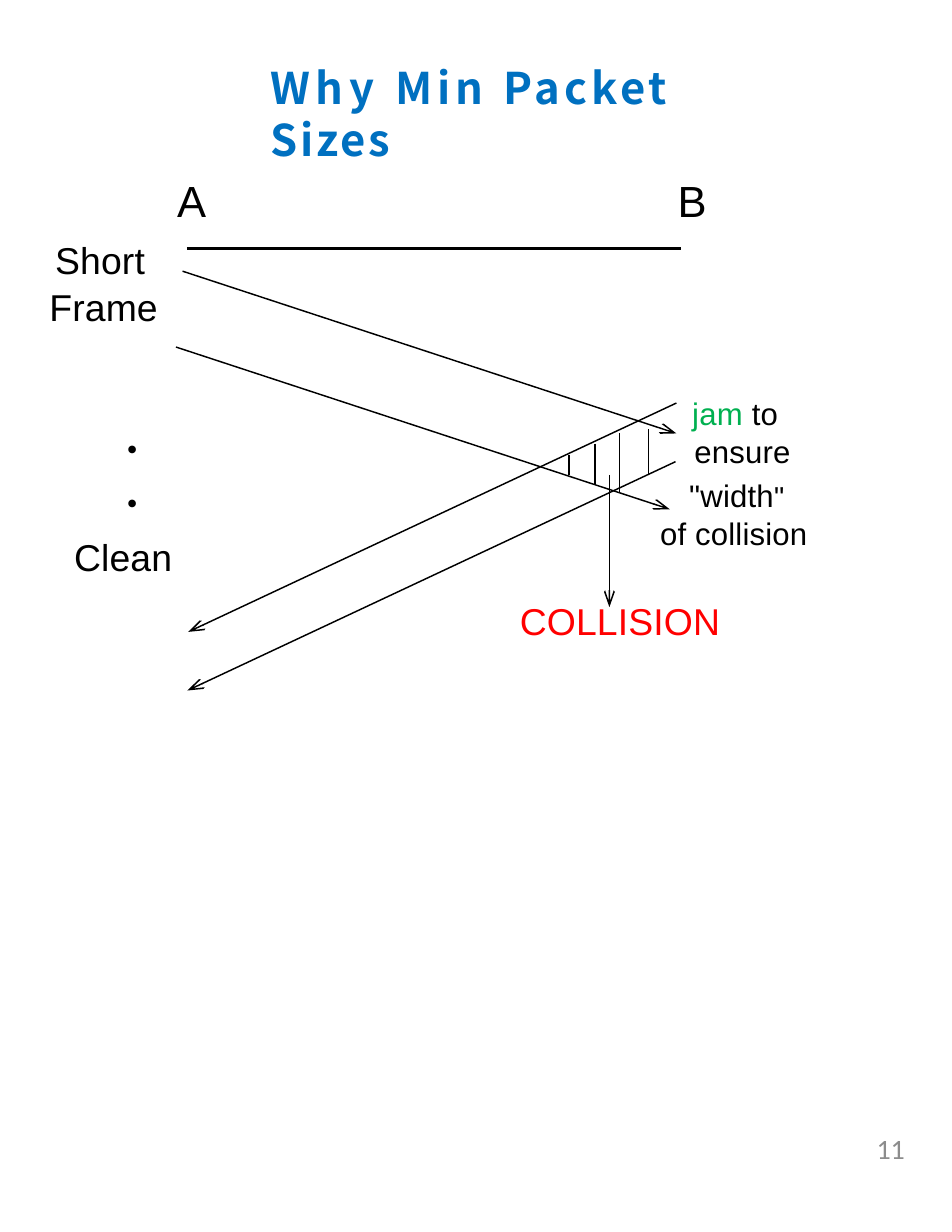
from lxml.etree import SubElement
from pptx import Presentation
from pptx.dml.color import RGBColor
from pptx.enum.shapes import MSO_CONNECTOR
from pptx.enum.text import MSO_ANCHOR, PP_ALIGN
from pptx.oxml.ns import qn
from pptx.util import Cm, Pt

BLACK = RGBColor(0x00, 0x00, 0x00)
BLUE = RGBColor(0x00, 0x70, 0xC0)
GREEN = RGBColor(0x00, 0xB0, 0x50)
RED = RGBColor(0xFF, 0x00, 0x00)
GRAY = RGBColor(0x8C, 0x8C, 0x8C)


def add_run(paragraph, text, size=20, color=BLACK, font="Arial", bold=False, spacing=0.1):
    """Append a formatted run, with letter spacing in points."""
    run = paragraph.add_run()
    run.text = text
    run.font.size = Pt(size)
    run.font.name = font
    run.font.bold = bold
    run.font.color.rgb = color
    properties = run.font._element
    properties.set("spc", str(round(spacing * 100)))
    SubElement(properties, qn("a:ea")).set("typeface", font)


def prepare_frame(shape):
    """Give a shape a wrapping, top-anchored text frame without margins."""
    frame = shape.text_frame
    frame.word_wrap = True
    frame.vertical_anchor = MSO_ANCHOR.TOP
    frame.margin_left = frame.margin_right = frame.margin_top = frame.margin_bottom = 0
    return frame


def add_text(slide, left, top, width, height, text, align=PP_ALIGN.LEFT, **style):
    """Add a one-paragraph text box and return its text frame."""
    shape = slide.shapes.add_textbox(Cm(left), Cm(top), Cm(width), Cm(height))
    frame = prepare_frame(shape)
    paragraph = frame.paragraphs[0]
    paragraph.alignment = align
    add_run(paragraph, text, **style)
    return frame


def add_line(slide, start, end, width=0.93, arrow=False):
    """Draw a straight black line, optionally with an open arrowhead at its end."""
    points = [Cm(value) for value in (*start, *end)]
    connector = slide.shapes.add_connector(MSO_CONNECTOR.STRAIGHT, *points)
    connector.line.color.rgb = BLACK
    connector.line.width = Pt(width)
    if arrow:
        head = SubElement(connector.line._get_or_add_ln(), qn("a:tailEnd"))
        for name, value in (("type", "arrow"), ("w", "med"), ("len", "lg")):
            head.set(name, value)
    SubElement(connector._element.spPr, qn("a:effectLst"))


def build_title(slide, left, top, width, height):
    """Place the slide title in the title placeholder."""
    title = slide.shapes.title
    title.left, title.top, title.width, title.height = map(Cm, (left, top, width, height))
    paragraph = prepare_frame(title).paragraphs[0]
    paragraph.alignment = PP_ALIGN.LEFT
    paragraph.line_spacing = Pt(33.4)
    for word, spacing in (("Why ", 3.7), ("Min ", 3.1), ("Packet ", 2.6), ("Sizes", 1.8)):
        add_run(paragraph, word, size=28, color=BLUE, font="Noto Sans CJK TC",
                bold=True, spacing=spacing)


def build_timeline(slide, left, top):
    """Draw the bus, the frames crossing it and the hatched collision."""
    def line(x1, y1, x2, y2, **style):
        add_line(slide, (left + x1, top + y1), (left + x2, top + y2), **style)

    line(3.24, 1.74, 14.44, 1.74, width=1.86)
    for x, y in ((3.14, 2.25), (2.99, 3.97)):
        line(x, y, x + 11.2, y + 3.68, arrow=True)
    for x, y in ((14.34, 5.24), (14.32, 6.57)):
        line(x, y, x - 11.07, y + 5.19, arrow=True)
    for x, y1, y2 in ((11.9, 6.41, 6.87), (12.49, 6.16, 7.1),
                      (13.05, 5.93, 7.28), (13.71, 5.83, 6.87)):
        line(x, y1, x, y2)
    line(12.82, 6.87, 12.82, 9.87, arrow=True)


def build_labels(slide, left, top):
    """Write the station, frame and collision labels."""
    def label(x, y, width, text, size, color=BLACK):
        return add_text(slide, left + x, top + y, width, size * 0.0425, text,
                        size=size, color=color)

    label(2.99, 0.04, 0.7, "A", 28)
    label(14.34, 0.04, 0.7, "B", 28)
    label(0.22, 1.48, 2.5, "Short", 24)
    label(0.09, 2.55, 2.9, "Frame", 24)
    label(0.65, 8.22, 2.6, "Clean", 24)
    label(10.76, 9.66, 5.3, "COLLISION", 24, RED)
    jam = label(14.67, 5.04, 2.5, "jam ", 20, GREEN)
    add_run(jam.paragraphs[0], "to")
    label(14.72, 5.9, 2.7, "ensure", 20)
    width = label(14.6, 6.9, 2.6, '"width', 20)
    add_run(width.paragraphs[0], '"', size=18.5)
    label(13.94, 7.76, 4, "of collision", 20)


def build_dots(slide, left, top, width, height):
    """Stack two dots that stand for elapsed time."""
    style = {"size": 20.5, "font": "Times New Roman", "spacing": 3.1}
    frame = add_text(slide, left, top, width, height, "•", **style)
    paragraph = frame.add_paragraph()
    paragraph.space_before = Pt(13.1)
    paragraph.line_spacing = Pt(21.5)
    add_run(paragraph, "•", **style)


def build_page_number(slide, left, top, width, height):
    """Write the page number at the lower right."""
    frame = add_text(slide, left, top, width, height, "11", align=PP_ALIGN.RIGHT,
                     size=18, color=GRAY, font="Calibri", spacing=-0.1)
    frame.paragraphs[0].line_spacing = Pt(12.3)


def main():
    """Build and save the slide."""
    presentation = Presentation()
    presentation.slide_width, presentation.slide_height = Cm(21.59), Cm(27.94)
    slide = presentation.slides.add_slide(presentation.slide_layouts[5])
    build_title(slide, 6.13, 1.39, 11.33, 1.19)
    build_page_number(slide, 15.54, 26, 4.98, 1.4)
    build_timeline(slide, 1, 3.9)
    build_labels(slide, 1.03, 3.9)
    build_dots(slide, 2.87, 9.73, 1.02, 2.13)
    presentation.save("out.pptx")


if __name__ == "__main__":
    main()
